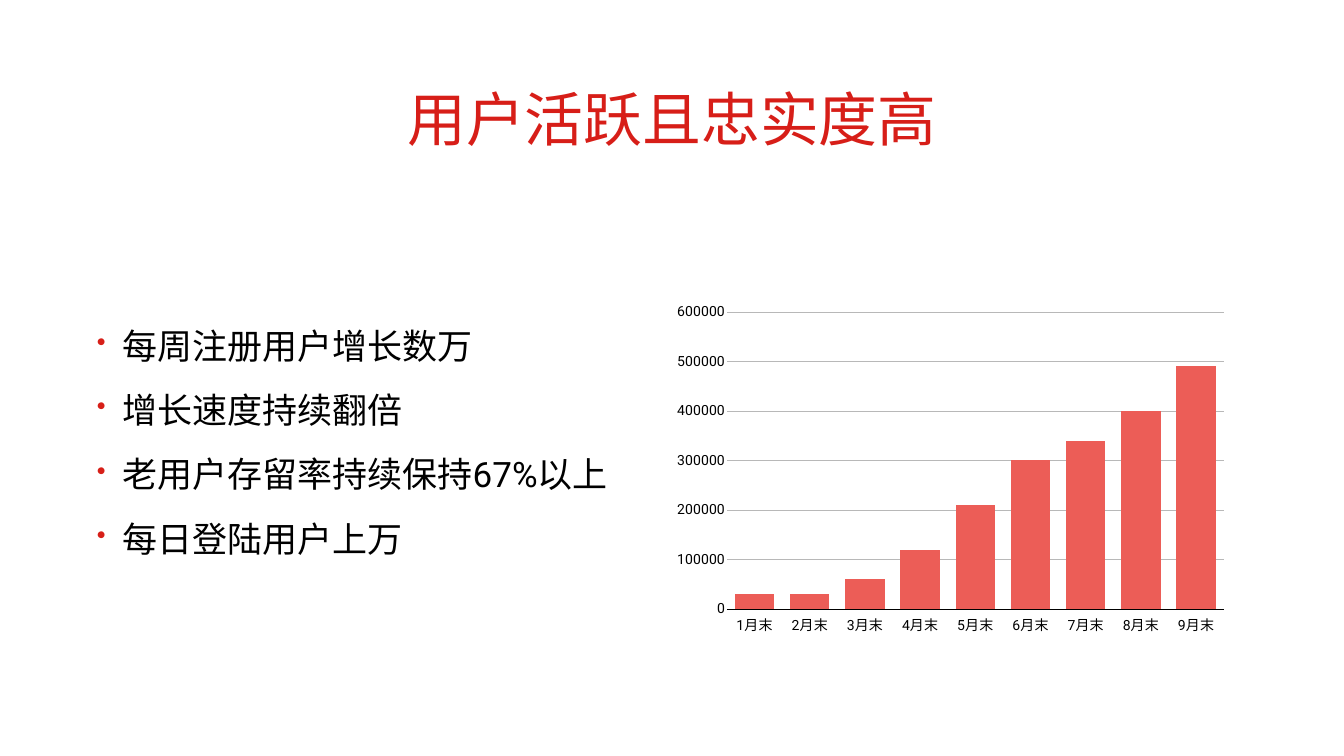
from dataclasses import dataclass

from lxml.etree import SubElement
from pptx import Presentation
from pptx.chart.chart import Chart
from pptx.chart.data import CategoryChartData
from pptx.dml.color import RGBColor
from pptx.enum.chart import XL_CHART_TYPE, XL_TICK_LABEL_POSITION, XL_TICK_MARK
from pptx.enum.text import MSO_ANCHOR, PP_ALIGN
from pptx.oxml import parse_xml
from pptx.oxml.ns import nsdecls, qn
from pptx.slide import Slide
from pptx.util import Emu, Pt

PX = 9144
COLORS = {"title": "D71E18", "bullet": "D71F18", "text": "000000", "bar": "EC5D57", "grid": "B8B8B8"}
CJK_FONT = "Noto Sans CJK SC"
LATIN_FONT = "Roboto"
HANGING = 51
MONTHLY_USERS = [30000, 30000, 60000, 120000, 210000, 300000, 340000, 400000, 490000]
PLOT_AREA = {"x": 0.106, "y": 0.136, "w": 0.852, "h": 0.787}


@dataclass(frozen=True)
class Frame:
    left: int
    top: int
    width: int
    height: int

    def emu(self) -> tuple[Emu, ...]:
        return tuple(Emu(side * PX) for side in (self.left, self.top, self.width, self.height))


@dataclass(frozen=True)
class TextBlock:
    frame: Frame
    lines: tuple[str, ...]
    size: int
    font: str
    color: str
    align: PP_ALIGN = PP_ALIGN.LEFT
    bulleted: bool = False


TEXT_BLOCKS = (
    TextBlock(Frame(480, 68, 1707, 332), ("用户活跃且忠实度高",), 84, CJK_FONT, "title", PP_ALIGN.CENTER),
    TextBlock(
        Frame(192, 393, 1058, 967),
        ("每周注册用户增长数万", "增长速度持续翻倍", "老用户存留率持续保持67%以上", "每日登陆用户上万"),
        50, LATIN_FONT, "text", bulleted=True,
    ),
)
CHART_FRAME = Frame(1320, 517, 1157, 749)


def rgb(name: str) -> RGBColor:
    return RGBColor.from_string(COLORS[name])


def add_bullet(para) -> None:
    properties = para._p.get_or_add_pPr()
    properties.set("marL", str(HANGING * PX))
    properties.set("indent", str(-HANGING * PX))
    for xml in (
        f'<a:buClr {nsdecls("a")}><a:srgbClr val="{COLORS["bullet"]}"/></a:buClr>',
        f'<a:buSzPct {nsdecls("a")} val="75000"/>',
        f'<a:buChar {nsdecls("a")} char="•"/>',
    ):
        properties.find(qn("a:defRPr")).addprevious(parse_xml(xml))
    para.space_before = Pt(32)


def draw_text(page: Slide, block: TextBlock) -> None:
    text = page.shapes.add_textbox(*block.frame.emu()).text_frame
    text.word_wrap = True
    text.vertical_anchor = MSO_ANCHOR.MIDDLE
    text.margin_left = text.margin_top = text.margin_right = text.margin_bottom = 0
    text.text = "\n".join(block.lines)
    for para in text.paragraphs:
        para.alignment = block.align
        para.font.size = Pt(block.size)
        para.font.color.rgb = rgb(block.color)
        para.font.name = block.font
        SubElement(para._p.pPr.find(qn("a:defRPr")), qn("a:ea"), typeface=CJK_FONT)
        if block.bulleted:
            add_bullet(para)


def place_plot(chart: Chart) -> None:
    plot_area = chart._chartSpace.chart.plotArea
    for old in plot_area.findall(qn("c:layout")):
        plot_area.remove(old)
    modes = '<c:xMode val="edge"/><c:yMode val="edge"/>'
    sides = "".join(f'<c:{side} val="{value}"/>' for side, value in PLOT_AREA.items())
    plot_area.insert(0, parse_xml(
        f'<c:layout {nsdecls("c")}><c:manualLayout><c:layoutTarget val="inner"/>'
        f"{modes}{sides}</c:manualLayout></c:layout>"
    ))


def draw_chart(page: Slide) -> None:
    data = CategoryChartData(number_format="General")
    data.categories = [f"{month}月末" for month in range(1, len(MONTHLY_USERS) + 1)]
    data.add_series("注册用户数", MONTHLY_USERS)
    chart = page.shapes.add_chart(XL_CHART_TYPE.COLUMN_CLUSTERED, *CHART_FRAME.emu(), data).chart
    chart.has_legend = False
    chart.has_title = False
    chart.font.name = LATIN_FONT
    chart.font.size = Pt(20)
    chart.font.color.rgb = rgb("text")

    bars = chart.plots[0]
    bars.vary_by_categories = False
    bars.gap_width = 40
    bars.overlap = -10
    fill = bars.series[0].format.fill
    fill.solid()
    fill.fore_color.rgb = rgb("bar")

    months, users = chart.category_axis, chart.value_axis
    for axis in (months, users):
        axis.major_tick_mark = axis.minor_tick_mark = XL_TICK_MARK.NONE
    months.tick_label_position = XL_TICK_LABEL_POSITION.LOW
    months.format.line.color.rgb = rgb("text")
    months.format.line.width = Pt(1)
    users.format.line.fill.background()
    users.minimum_scale, users.maximum_scale, users.major_unit = 0, 600000, 100000
    grid = users.major_gridlines.format.line
    grid.color.rgb = rgb("grid")
    grid.width = Pt(0.25)
    place_plot(chart)


def main() -> None:
    """Build the slide on active and loyal users and save it."""
    deck = Presentation()
    deck.slide_width, deck.slide_height = Emu(2667 * PX), Emu(1500 * PX)
    page = deck.slides.add_slide(deck.slide_layouts[6])
    for block in TEXT_BLOCKS:
        draw_text(page, block)
    draw_chart(page)
    deck.save("out.pptx")


if __name__ == "__main__":
    main()
